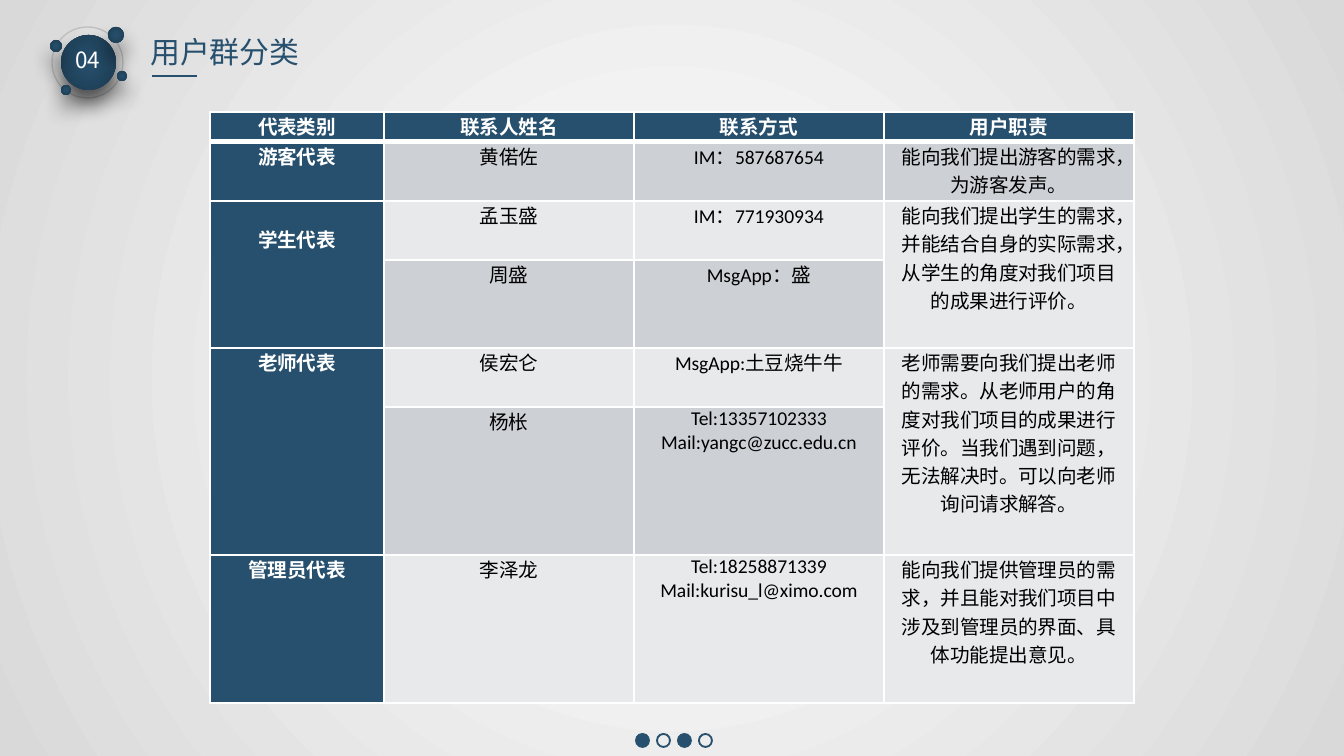
from dataclasses import dataclass
from typing import NamedTuple

from lxml import etree
from pptx import Presentation
from pptx import util as u
from pptx.dml.color import RGBColor
from pptx.enum import shapes, text
from pptx.oxml import ns

EMU_PER_PX = 914400 / 134.4


@dataclass(frozen=True)
class Theme:
    navy: str = "27506E"
    deep_navy: str = "1D3C52"
    white: str = "FFFFFF"
    black: str = "000000"
    ring: str = "BFBFBF"
    bands: tuple = ("E8E9EB", "CDD0D5")
    backdrop: tuple = ((0, "FFFFFF"), (35, "F2F2F2"), (100, "D9D9D9"))
    latin: str = "Calibri"
    cjk: str = "Noto Sans CJK SC"
    title_size: float = 16
    number_size: float = 12
    table_size: float = 10.5


class Disc(NamedTuple):
    left: int
    top: int
    size: int


class Contact(NamedTuple):
    name: str
    channels: tuple


@dataclass(frozen=True)
class Representative:
    role: str
    duty: str
    contacts: tuple
    role_drop: int = 0


THEME = Theme()
RING = Disc(52, 27, 71)
BADGE_DISCS = (Disc(61, 35, 55), Disc(108, 27, 16), Disc(50, 40, 12),
               Disc(61, 85, 10), Disc(117, 71, 10))
PAGER_FILLED = (True, False, True, False)
HEADINGS = ("代表类别", "联系人姓名", "联系方式", "用户职责")
COLUMN_WIDTHS = (174, 250, 250, 250)
ROW_HEIGHTS = (30, 59, 59, 88, 59, 148, 148)
REPRESENTATIVES = (
    Representative("游客代表", "能向我们提出游客的需求，为游客发声。",
                   (Contact("黄偌佐", ("IM：587687654",)),)),
    Representative("学生代表",
                   "能向我们提出学生的需求，并能结合自身的实际需求，从学生的角度对我们项目的成果进行评价。",
                   (Contact("孟玉盛", ("IM：771930934",)),
                    Contact("周盛", ("MsgApp：盛",))), role_drop=24),
    Representative("老师代表",
                   "老师需要向我们提出老师的需求。从老师用户的角度对我们项目的成果进行评价。"
                   "当我们遇到问题，无法解决时。可以向老师询问请求解答。",
                   (Contact("侯宏仑", ("MsgApp:土豆烧牛牛",)),
                    Contact("杨枨", ("Tel:13357102333", "Mail:yangc@zucc.edu.cn")))),
    Representative("管理员代表",
                   "能向我们提供管理员的需求，并且能对我们项目中涉及到管理员的界面、具体功能提出意见。",
                   (Contact("李泽龙", ("Tel:18258871339", "Mail:kurisu_l@ximo.com")),)),
)


def px(length: int) -> u.Emu:
    return u.Emu(round(length * EMU_PER_PX))


def rgb(color: str) -> RGBColor:
    return RGBColor.from_string(color)


def child(parent, tag: str, **attributes):
    return etree.SubElement(parent, ns.qn(tag), {k: str(v) for k, v in attributes.items()})


def set_radial(gradient, stops: tuple) -> None:
    for old in list(gradient):
        gradient.remove(old)
    stop_list = child(gradient, "a:gsLst")
    for position, color in stops:
        child(child(stop_list, "a:gs", pos=position * 1000), "a:srgbClr", val=color)
    child(child(gradient, "a:path", path="circle"), "a:fillToRect",
          l=50000, t=50000, r=50000, b=50000)


def add_text(paragraph, words: str, size: float, color: str, latin: str,
             bold: bool = False) -> None:
    run = paragraph.add_run()
    run.text = words
    run.font.size = u.Pt(size)
    run.font.bold = bold
    run.font.color.rgb = rgb(color)
    run.font.name = latin
    child(run.font._element, "a:ea", typeface=THEME.cjk)


def add_disc(group, disc: Disc):
    oval = group.shapes.add_shape(shapes.MSO_SHAPE.OVAL, px(disc.left), px(disc.top),
                                  px(disc.size), px(disc.size))
    oval.shadow.inherit = False
    return oval


def outline(oval, color: str, width: float) -> None:
    oval.line.color.rgb = rgb(color)
    oval.line.width = u.Pt(width)


def add_badge(slide) -> None:
    badge = slide.shapes.add_group_shape()
    ring = add_disc(badge, RING)
    ring.fill.background()
    outline(ring, THEME.ring, 0.75)
    for disc in BADGE_DISCS:
        oval = add_disc(badge, disc)
        oval.line.fill.background()
        oval.fill.gradient()
        properties = oval._element.spPr
        set_radial(properties.find(ns.qn("a:gradFill")),
                   ((0, THEME.navy), (100, THEME.deep_navy)))
        shadow = child(properties.find(ns.qn("a:effectLst")), "a:outerShdw",
                       blurRad=u.Pt(11), dist=u.Pt(8), dir=90 * 60000,
                       algn="t", rotWithShape=0)
        child(child(shadow, "a:srgbClr", val=THEME.black), "a:alpha", val=64000)
    number = slide.shapes.add_textbox(px(61), px(40), px(54), px(40)).text_frame
    number.word_wrap = False
    number.auto_size = text.MSO_AUTO_SIZE.SHAPE_TO_FIT_TEXT
    number.paragraphs[0].alignment = text.PP_ALIGN.CENTER
    add_text(number.paragraphs[0], "04", THEME.number_size, THEME.white, THEME.cjk)


def add_pager(slide) -> None:
    pager = slide.shapes.add_group_shape()
    for index, filled in enumerate(PAGER_FILLED):
        dot = add_disc(pager, Disc(636 + 21 * index, 734, 13))
        outline(dot, THEME.navy, 1)
        if filled:
            dot.fill.solid()
            dot.fill.fore_color.rgb = rgb(THEME.navy)
        else:
            dot.fill.background()


def add_heading(slide) -> None:
    title = slide.shapes.title
    title.left, title.top, title.width, title.height = px(137), px(27), px(177), px(50)
    frame = title.text_frame
    frame.word_wrap = False
    frame.auto_size = text.MSO_AUTO_SIZE.NONE
    frame.vertical_anchor = text.MSO_ANCHOR.MIDDLE
    frame.paragraphs[0].alignment = text.PP_ALIGN.LEFT
    add_text(frame.paragraphs[0], "用户群分类", THEME.title_size, THEME.navy, THEME.cjk)
    underline = slide.shapes.add_connector(shapes.MSO_CONNECTOR.STRAIGHT,
                                           px(152), px(76), px(197), px(76))
    underline.line.color.rgb = rgb(THEME.navy)
    underline.line.width = u.Pt(1.5)
    child(underline._element.spPr, "a:effectLst")


def style_cell(cell, fill: str, bottom: float = 1, top: float = 1) -> None:
    cell.margin_left = cell.margin_right = px(9)
    cell.margin_top = cell.margin_bottom = 0
    properties = cell._tc.get_or_add_tcPr()
    for side, width in (("L", 1), ("R", 1), ("T", top), ("B", bottom)):
        border = child(properties, f"a:ln{side}", w=u.Pt(width))
        child(child(border, "a:solidFill"), "a:srgbClr", val=THEME.white)
    cell.fill.solid()
    cell.fill.fore_color.rgb = rgb(fill)


def write_cell(cell, lines: tuple, color: str = THEME.black, bold: bool = False) -> None:
    frame = cell.text_frame
    for index, line in enumerate(lines):
        paragraph = frame.add_paragraph() if index else frame.paragraphs[0]
        paragraph.alignment = text.PP_ALIGN.CENTER
        add_text(paragraph, line, THEME.table_size, color, THEME.latin, bold)


def add_contacts_table(slide) -> None:
    table = slide.shapes.add_table(len(ROW_HEIGHTS), len(COLUMN_WIDTHS), px(210), px(112),
                                   px(sum(COLUMN_WIDTHS)), px(sum(ROW_HEIGHTS))).table
    for column, width in zip(table.columns, COLUMN_WIDTHS):
        column.width = px(width)
    for index, (row, height) in enumerate(zip(table.rows, ROW_HEIGHTS)):
        row.height = px(height)
        for column, cell in enumerate(row.cells):
            fill = THEME.navy if index == 0 or column == 0 else THEME.bands[index % 2]
            style_cell(cell, fill, bottom=3 if index == 0 else 1, top=3 if index == 1 else 1)
    for column, heading in enumerate(HEADINGS):
        write_cell(table.cell(0, column), (heading,), THEME.white, True)
    first = 1
    for group in REPRESENTATIVES:
        last = first + len(group.contacts) - 1
        role, duty = table.cell(first, 0), table.cell(first, 3)
        if last > first:
            role.merge(table.cell(last, 0))
            duty.merge(table.cell(last, 3))
        role.margin_top = px(group.role_drop)
        write_cell(role, (group.role,), THEME.white, True)
        write_cell(duty, (group.duty,))
        for row, contact in enumerate(group.contacts, first):
            write_cell(table.cell(row, 1), (contact.name,))
            write_cell(table.cell(row, 2), contact.channels)
        first = last + 1


def main() -> None:
    deck = Presentation()
    deck.slide_width, deck.slide_height = px(1344), px(756)
    slide = deck.slides.add_slide(deck.slide_layouts[5])
    slide.background.fill.gradient()
    set_radial(slide._element.find(".//" + ns.qn("a:gradFill")), THEME.backdrop)
    add_pager(slide)
    add_heading(slide)
    add_badge(slide)
    add_contacts_table(slide)
    deck.save("out.pptx")


if __name__ == "__main__":
    main()
